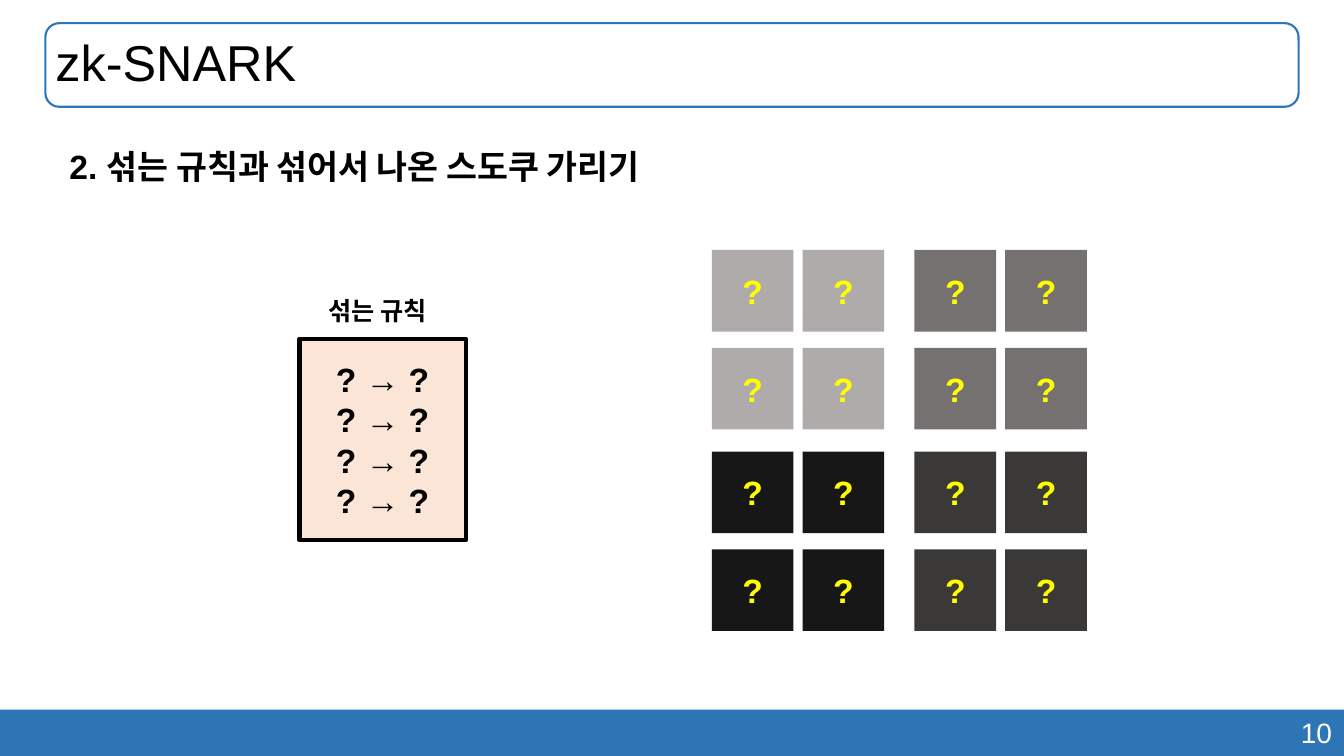
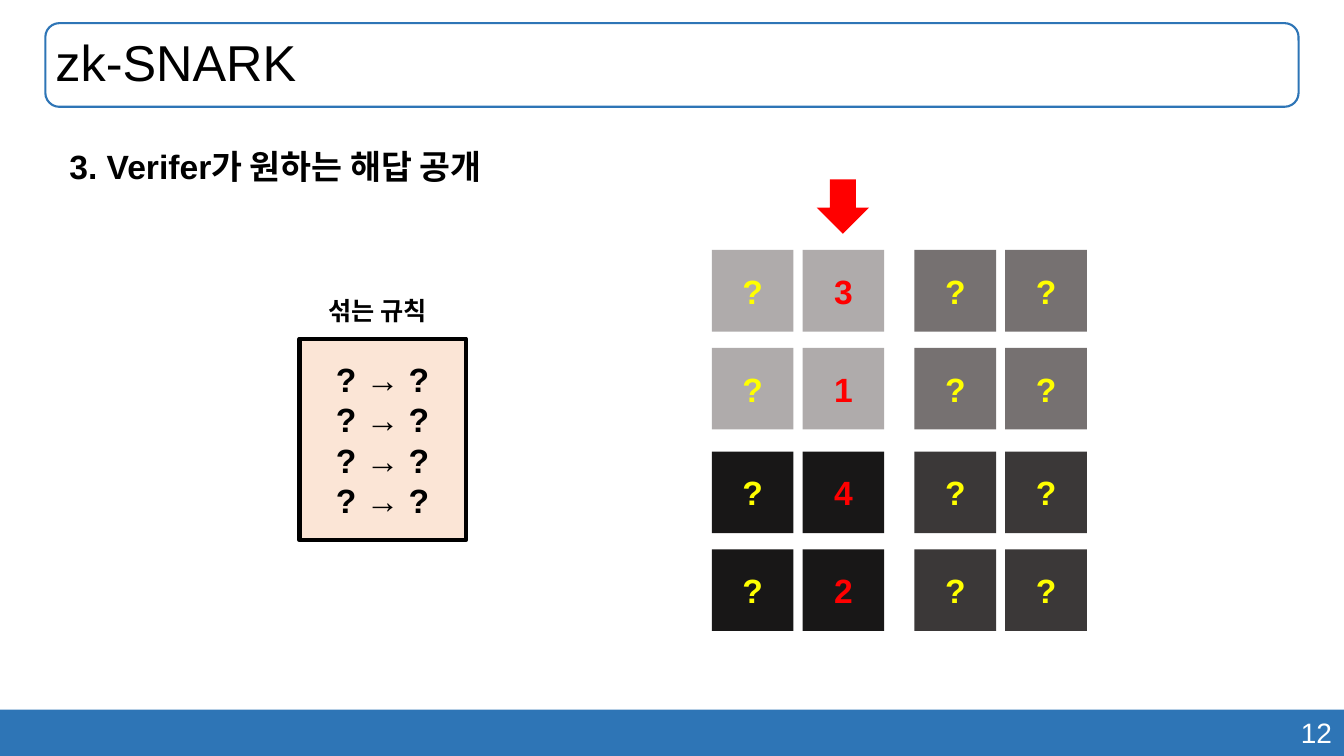
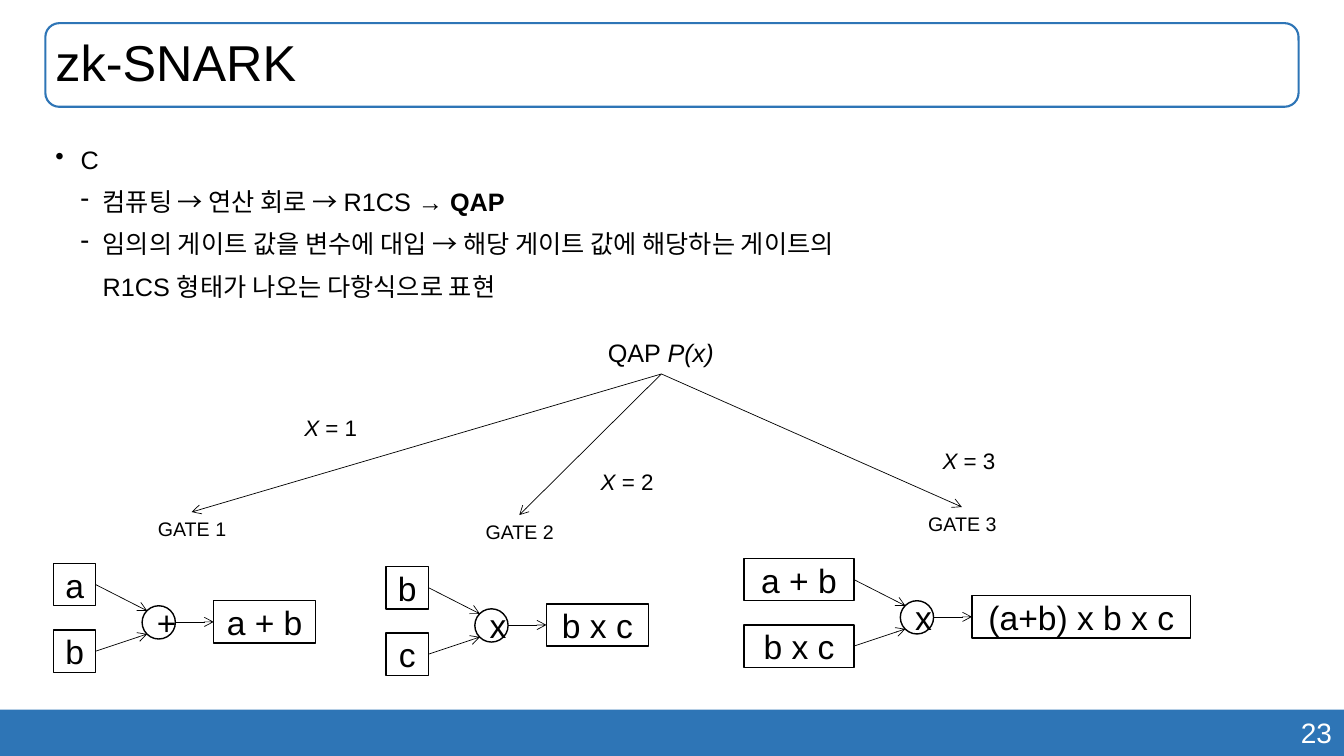
from dataclasses import dataclass

from lxml import etree
from pptx import Presentation
from pptx import util as u
from pptx.dml.color import RGBColor
from pptx.enum import shapes, text
from pptx.oxml.ns import qn

PX = 9144  # EMU per px, 100 px to the inch
WIDTH, HEIGHT = 1333, 750
SHAPE = shapes.MSO_SHAPE
ALIGN = text.PP_ALIGN


@dataclass(frozen=True)
class Theme:
    font: str = "Arial"
    blue: str = "2E75B6"
    white: str = "FFFFFF"
    black: str = "000000"
    red: str = "FF0000"
    yellow: str = "FFFF00"
    peach: str = "FBE5D6"
    # Sudoku quadrants: upper left, upper right, lower left, lower right
    quadrants: tuple = ("AFABAB", "767171", "181717", "3B3838")
    title: int = 36
    large: int = 24
    number: int = 20
    body: int = 18
    value: int = 16
    small: int = 14


class Slides:
    """Holds the style and the current slide."""

    def __init__(self, theme):
        self.theme = theme
        self.deck = Presentation()
        self.deck.slide_width = u.Emu(WIDTH * PX)
        self.deck.slide_height = u.Emu(HEIGHT * PX)
        self.page = None

    def new_page(self, title, number):
        """Start a slide with the shared band, number and title frame."""
        theme = self.theme
        self.page = self.deck.slides.add_slide(self.deck.slide_layouts[6])
        self.shape(SHAPE.RECTANGLE, 0, 704, WIDTH, 46, fill=theme.blue)
        self.label(941, 705, 390, 44, str(number), theme.number,
                   color=theme.white, align=ALIGN.RIGHT, wrap=True)
        frame = self.shape(SHAPE.ROUNDED_RECTANGLE, 45, 23, 1243, 83,
                           line=theme.blue, weight=1.5)
        frame.text_frame.margin_left = u.Emu(6 * PX)
        para = self.put_text(frame, [title], theme.title)[0]
        para.line_spacing = 0.9

    def put_text(self, box, lines, size, color=None, bold=False, align=ALIGN.LEFT):
        """Fill a box; a line is a string or a list of (words, "b", "i" or "")."""
        frame = box.text_frame
        paras = []
        for index, line in enumerate(lines):
            para = frame.add_paragraph() if index else frame.paragraphs[0]
            if isinstance(line, str):
                para.text = line
            else:
                for words, style in line:
                    span = para.add_run()
                    span.text = words
                    if style == "b":
                        span.font.bold = True
                    elif style == "i":
                        span.font.italic = True
            para.alignment = align
            para.font.name = self.theme.font
            para.font.size = u.Pt(size)
            para.font.bold = bold
            para.font.color.rgb = RGBColor.from_string(color or self.theme.black)
            paras.append(para)
        return paras

    def shape(self, kind, left, top, width, height, fill=None, line=None, weight=1):
        box = self.page.shapes.add_shape(
            kind, *(u.Emu(n * PX) for n in (left, top, width, height)))
        box.shadow.inherit = False
        if fill:
            box.fill.solid()
            box.fill.fore_color.rgb = RGBColor.from_string(fill)
        else:
            box.fill.background()
        if line:
            box.line.color.rgb = RGBColor.from_string(line)
            box.line.width = u.Pt(weight)
        else:
            box.line.fill.background()
        return box

    def text_box(self, left, top, width, height, wrap):
        box = self.page.shapes.add_textbox(
            *(u.Emu(n * PX) for n in (left, top, width, height)))
        box.text_frame.word_wrap = wrap
        return box

    def label(self, left, top, width, height, words, size, color=None,
              bold=False, align=ALIGN.LEFT, wrap=False):
        box = self.text_box(left, top, width, height, wrap)
        box.text_frame.auto_size = text.MSO_AUTO_SIZE.SHAPE_TO_FIT_TEXT
        self.put_text(box, [words], size, color, bold, align)

    def outlined(self, kind, left, top, width, height, words):
        box = self.shape(kind, left, top, width, height, line=self.theme.black)
        self.put_text(box, [words], self.theme.large, align=ALIGN.CENTER)

    def arrow(self, start, end):
        line = self.page.shapes.add_connector(
            shapes.MSO_CONNECTOR.STRAIGHT, *(u.Emu(n * PX) for n in start + end))
        line.line.color.rgb = RGBColor.from_string(self.theme.black)
        line.line.width = u.Pt(0.5)
        props = line.element.spPr
        etree.SubElement(props.find(qn("a:ln")), qn("a:tailEnd"), type="arrow")
        etree.SubElement(props, qn("a:effectLst"))

    def bullets(self, left, top, width, height, items):
        """Items are (mark, left margin, hanging indent, line)."""
        box = self.text_box(left, top, width, height, wrap=True)
        paras = self.put_text(box, [item[3] for item in items], self.theme.body)
        for para, (mark, margin, hanging, _) in zip(paras, items):
            para.line_spacing = 1.4
            props = para._p.get_or_add_pPr()
            props.set("marL", str(margin * PX))
            props.set("indent", str(-hanging * PX))
            bullet = etree.Element(qn("a:buChar"), char=mark)
            props.find(qn("a:defRPr")).addprevious(bullet)

    def sudoku(self, revealed=None):
        """4 by 4 grid of hidden cells; revealed holds one column of digits."""
        theme = self.theme
        for row in range(4):
            for column in range(4):
                cell = self.shape(
                    SHAPE.RECTANGLE,
                    706 + 90 * column + 21 * (column // 2),
                    248 + 97 * row + 6 * (row // 2),
                    81, 81, fill=theme.quadrants[row // 2 * 2 + column // 2])
                shown = revealed and column == 1
                self.put_text(cell, [revealed[row] if shown else "?"], theme.large,
                              theme.red if shown else theme.yellow, True, ALIGN.CENTER)

    def shuffle_rules(self):
        theme = self.theme
        card = self.shape(SHAPE.RECTANGLE, 297, 336, 165, 200,
                          fill=theme.peach, line=theme.black, weight=3)
        self.put_text(card, ["? → ?"] * 4, theme.large, bold=True, align=ALIGN.CENTER)
        self.label(316, 288, 128, 40, "섞는 규칙", theme.body, bold=True)

    def gate(self, left, top, name, name_left, inputs, input_width,
             operator, result, result_width):
        """Draw a gate around its circle at left, top; return the name's top centre."""
        name_top = top - 93
        self.label(name_left, name_top, 89, 34, name, self.theme.small,
                   align=ALIGN.CENTER)
        input_right = left - 46
        for words, offset, target in zip(inputs, (-42, 24), (5, 28)):
            self.outlined(SHAPE.RECTANGLE, input_right - input_width, top + offset,
                          input_width, 42, words)
            self.arrow((input_right, top + offset + 21), (left + 5, top + target))
        self.outlined(SHAPE.OVAL, left, top, 33, 33, operator)
        self.arrow((left + 33, top + 16), (left + 71, top + 16))
        self.outlined(SHAPE.RECTANGLE, left + 71, top - 5, result_width, 42, result)
        return name_left + 44, name_top


def main():
    theme = Theme()
    slides = Slides(theme)

    # Hidden sudoku
    slides.new_page("zk-SNARK", 10)
    slides.sudoku()
    slides.shuffle_rules()
    slides.label(59, 140, 643, 50, "2. 섞는 규칙과 섞어서 나온 스도쿠 가리기",
                 theme.large, bold=True)

    # One column revealed
    slides.new_page("zk-SNARK", 12)
    slides.sudoku(revealed="3142")
    slides.shuffle_rules()
    slides.label(59, 140, 460, 50, "3. Verifer가 원하는 해답 공개",
                 theme.large, bold=True)
    slides.shape(SHAPE.DOWN_ARROW, 810, 178, 52, 54, fill=theme.red)

    # QAP explanation
    slides.new_page("zk-SNARK", 23)
    slides.bullets(45, 126, 1271, 188, [
        ("•", 25, 25, "C"),
        ("-", 47, 22, [("컴퓨팅 → 연산 회로 → R1CS → ", ""), ("QAP", "b")]),
        ("-", 47, 22, "임의의 게이트 값을 변수에 대입 → 해당 게이트 값에 해당하는 게이트의\n"
                      "R1CS 형태가 나오는 다항식으로 표현"),
    ])

    # Gates and the tree above them
    gates = [
        (141, 601, "GATE 1", 146, "ab", 42, "+", "a + b", 101),
        (471, 604, "GATE 2", 471, "bc", 42, "x", "b x c", 101),
        (893, 596, "GATE 3", 910, ("a + b", "b x c"), 109, "x", "(a+b) x b x c", 217),
    ]
    slides.label(593, 330, 126, 40, [("QAP ", ""), ("P(x)", "i")], theme.body)
    for gate in gates:
        slides.arrow((656, 371), slides.gate(*gate))
    for number, (left, top) in enumerate([(292, 406), (586, 460), (925, 439)], 1):
        slides.label(left, top, 73, 37, [("X ", "i"), (f"= {number}", "")], theme.value)

    slides.deck.save("out.pptx")


if __name__ == "__main__":
    main()
